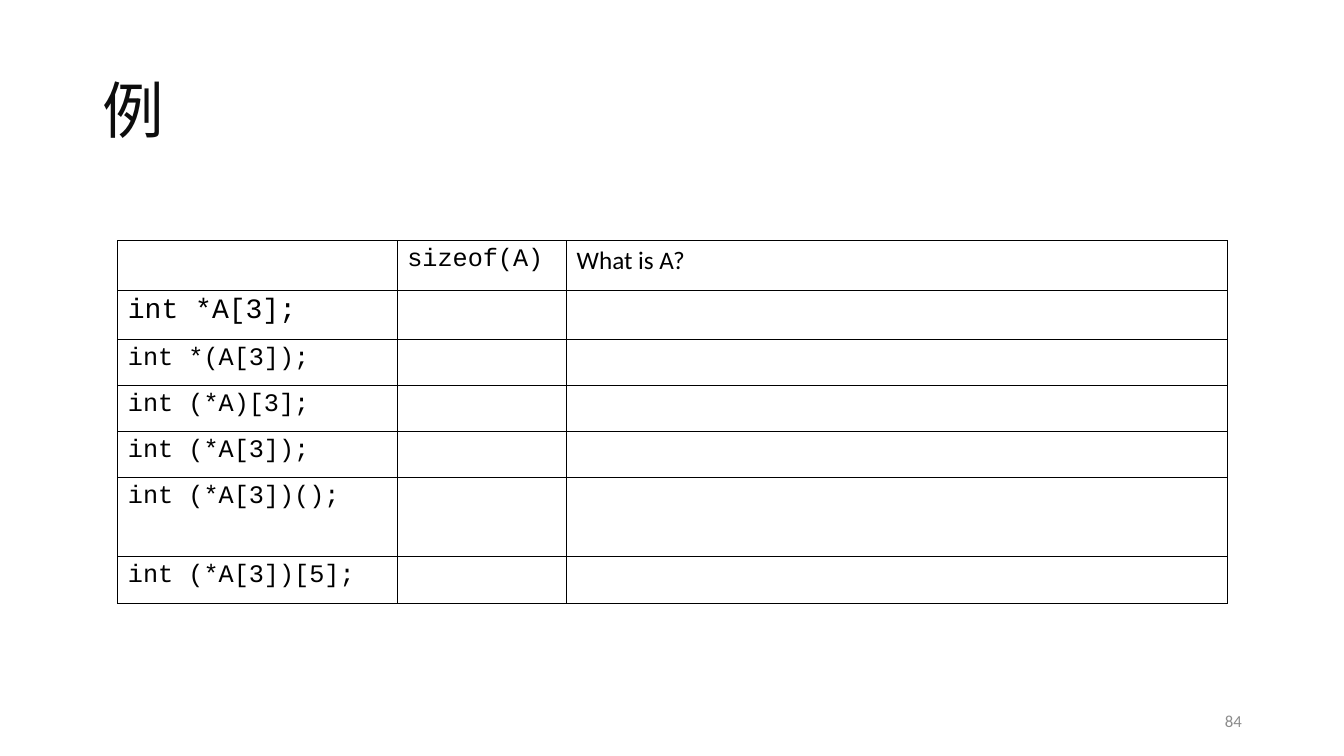
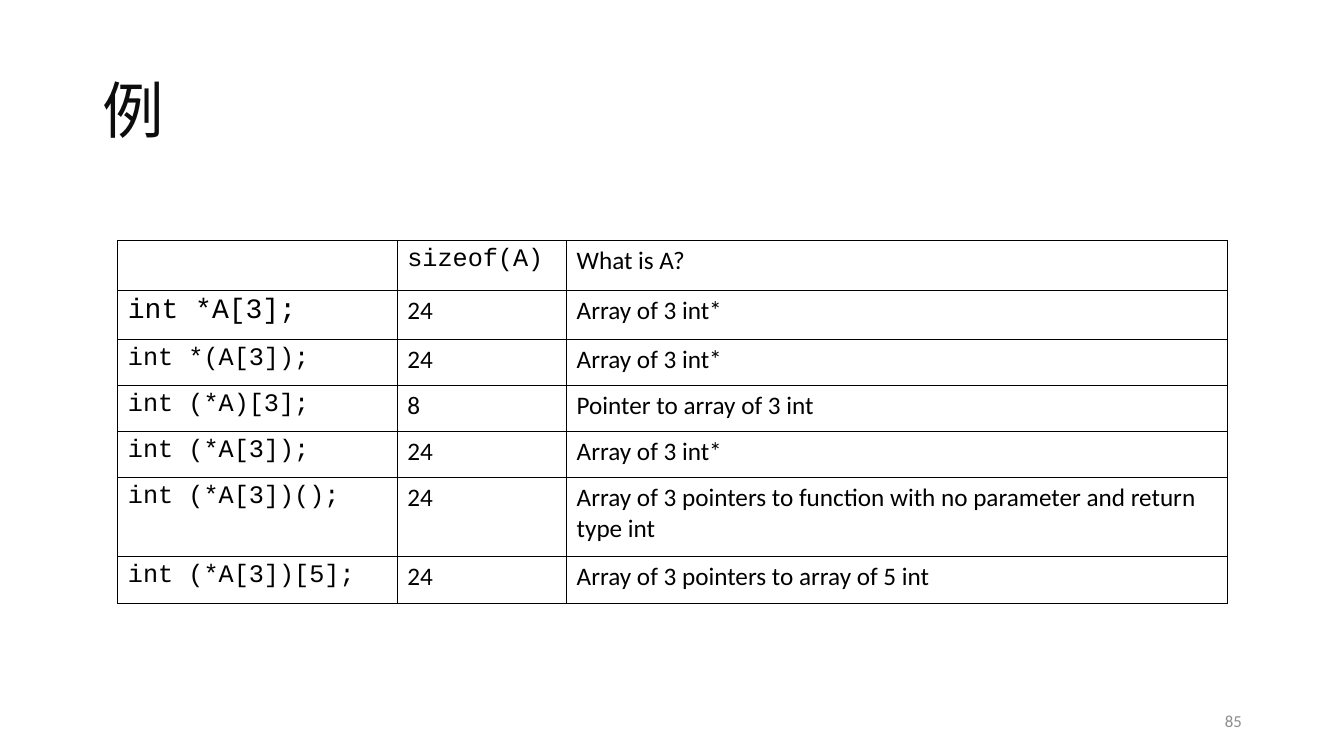
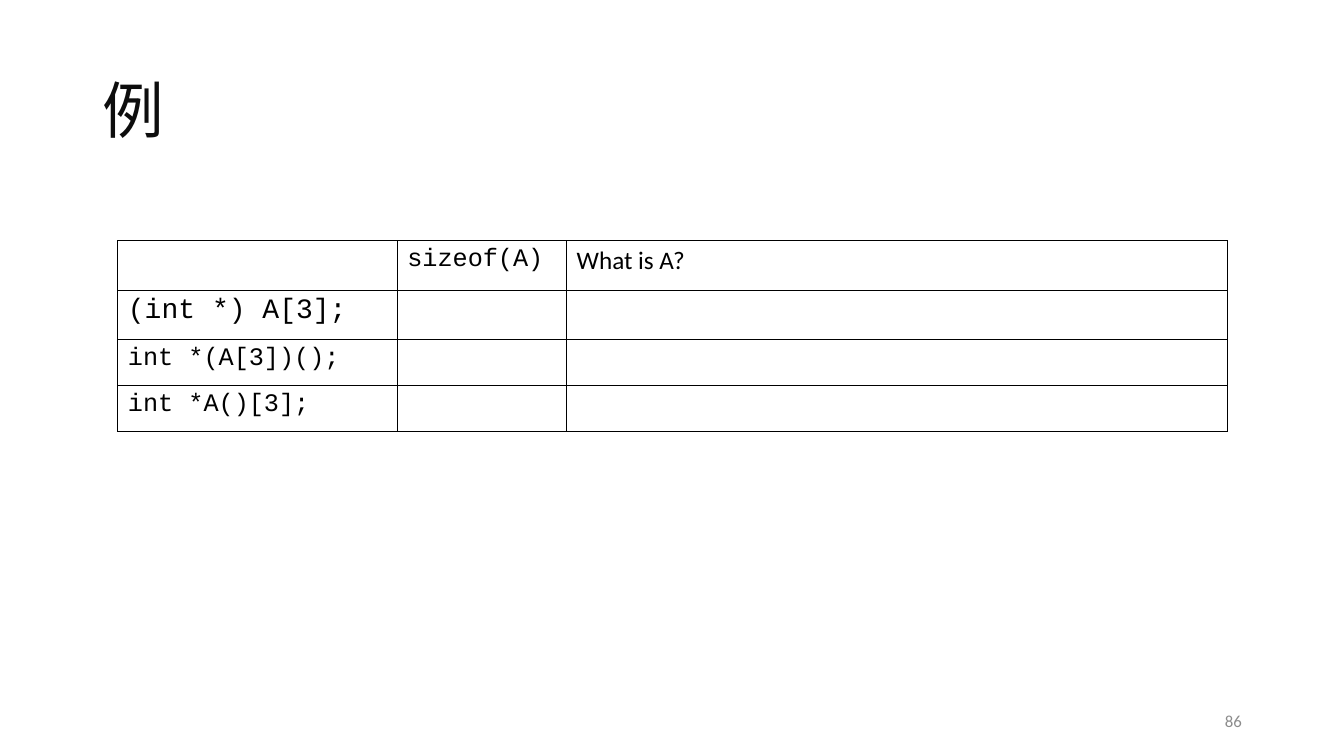
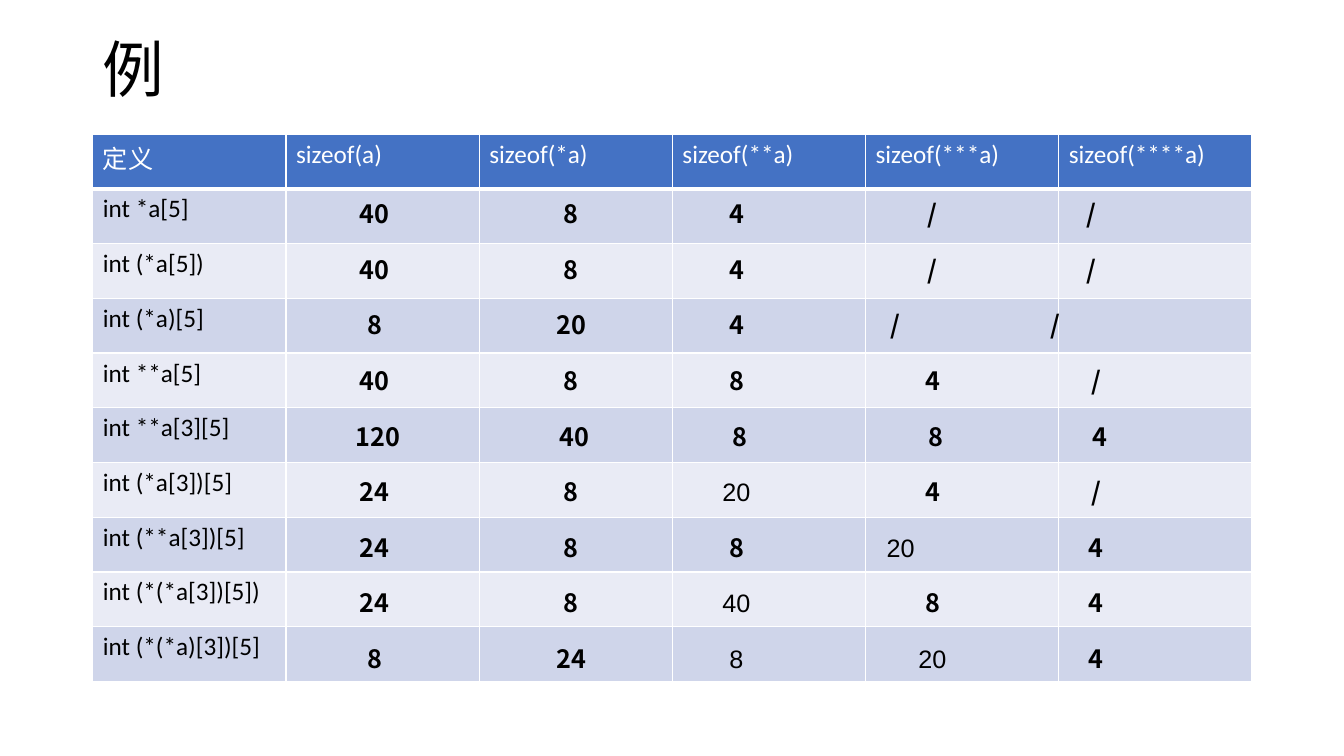
from dataclasses import dataclass
from typing import Optional

from lxml.etree import SubElement as Sub
from pptx import Presentation as Deck
from pptx.dml.color import RGBColor as Color
from pptx.enum.text import MSO_ANCHOR as Anchor, MSO_AUTO_SIZE as Fit, PP_ALIGN as Align
from pptx.oxml.ns import qn
from pptx.util import Cm, Pt

BLACK = Color(0x00, 0x00, 0x00)
INK = Color(0x0D, 0x0D, 0x0D)
GREY = Color(0x8C, 0x8C, 0x8C)
WHITE = Color(0xFF, 0xFF, 0xFF)
BLUE = Color(0x44, 0x72, 0xC4)
BANDS = Color(0xCF, 0xD5, 0xEA), Color(0xE9, 0xEB, 0xF5)

CODE, BODY, HAN, PLAIN = "Courier New", "Calibri", "Noto Sans CJK SC", "Arial"
TITLE = "例"
LEFT, WIDE = 2.34, 29.21
BASIC_COLS = 7.04, 4.27, 16.66
STOPS = 0.48, 5.44, 9.6, 14.54, 18.67


@dataclass(frozen=True)
class Style:
    name: str = BODY
    size: int = 18
    color: Color = BLACK
    bold: bool = False


@dataclass(frozen=True)
class Box:
    left: float
    top: float
    width: float
    height: float


@dataclass(frozen=True)
class Quiz:
    page: str
    rows: tuple
    heights: tuple


@dataclass(frozen=True)
class Sizes:
    code: str
    vals: str
    thin: tuple = ()
    stops: tuple = STOPS


HEAD = ("", "sizeof(A)", "What is A?")
FIRST = (
    ("int *A[3];", "24", "Array of 3 int*"),
    ("int *(A[3]);", "24", "Array of 3 int*"),
    ("int (*A)[3];", "8", "Pointer to array of 3 int"),
    ("int (*A[3]);", "24", "Array of 3 int*"),
    ("int (*A[3])();", "24",
     "Array of 3 pointers to function with no parameter and return type int"),
    ("int (*A[3])[5];", "24", "Array of 3 pointers to array of 5 int"),
)
NEXT = ("(int *) A[3];", "int *(A[3])();", "int *A()[3];")
TALL = (1.24, 1.24, 1.16, 1.16, 1.16, 2.0, 1.17)
QUIZZES = (
    Quiz("84", tuple((row[0], "", "") for row in FIRST), TALL),
    Quiz("85", FIRST, TALL),
    Quiz("86", tuple((code, "", "") for code in NEXT), TALL[:4]),
)

NEAR = STOPS[:4] + (18.55,)
SIZES = (
    Sizes("int *a[5]", "40 8 4 / /", stops=NEAR),
    Sizes("int (*a[5])", "40 8 4 / /", stops=NEAR),
    Sizes("int (*a)[5]", "8 20 4 / /", stops=STOPS[:3] + (13.61, 17.64)),
    Sizes("int **a[5]", "40 8 8 4 /"),
    Sizes("int **a[3][5]", "120 40 8 8 4", stops=tuple(stop + 0.08 for stop in STOPS)),
    Sizes("int (*a[3])[5]", "24 8 20 4 /", (2,)),
    Sizes("int (**a[3])[5]", "24 8 8 20 4", (3,), STOPS[:3] + (13.74, 18.67)),
    Sizes("int (*(*a[3])[5])", "24 8 40 8 4", (2,)),
    Sizes("int (*(*a)[3])[5]", "8 24 8 20 4", (2, 3)),
)


def set_font(font, style: Style) -> None:
    font.name = style.name
    font.size = Pt(style.size)
    font.bold = style.bold
    font.color.rgb = style.color


def add_box(slide, box: Box, anchor: Anchor = Anchor.TOP):
    shape = slide.shapes.add_textbox(
        Cm(box.left), Cm(box.top), Cm(box.width), Cm(box.height))
    frame = shape.text_frame
    frame.word_wrap = True
    frame.vertical_anchor = anchor
    return frame


def add_title(slide, top: float, style: Style) -> None:
    par = add_box(slide, Box(LEFT, top, WIDE, 3.68), Anchor.MIDDLE).paragraphs[0]
    par.text = TITLE
    par.line_spacing = 0.9
    set_font(par.font, style)


def add_page(slide, page: str) -> None:
    par = add_box(slide, Box(23.93, 17.65, 7.62, 1.02), Anchor.MIDDLE).paragraphs[0]
    par.text = page
    par.alignment = Align.RIGHT
    set_font(par.font, Style(size=12, color=GREY))


def add_grid(slide, left: float, top: float, cols: tuple, rows: tuple):
    grid = slide.shapes.add_table(
        len(rows), len(cols), Cm(left), Cm(top), Cm(sum(cols)), Cm(sum(rows))).table
    grid.first_row = grid.horz_banding = False
    for col, width in zip(grid.columns, cols):
        col.width = Cm(width)
    for row, height in zip(grid.rows, rows):
        row.height = Cm(height)
    return grid


def fill_cell(cell, text: str, style: Style, edge: Color, fill: Optional[Color] = None,
              heavy: str = "") -> None:
    props = cell._tc.get_or_add_tcPr()
    for side in "LRTB":
        line = Sub(props, qn(f"a:ln{side}"), w=str(Pt(3 if side == heavy else 1)))
        Sub(Sub(line, qn("a:solidFill")), qn("a:srgbClr"), val=str(edge))
    if fill is None:
        cell.fill.background()
    else:
        cell.fill.solid()
        cell.fill.fore_color.rgb = fill
    par = cell.text_frame.paragraphs[0]
    par.text = text
    set_font(par.font, style)


def draw_quiz(slide, quiz: Quiz) -> None:
    add_title(slide, 1.02, Style(CODE, 44, INK))
    add_page(slide, quiz.page)
    grid = add_grid(slide, 2.97, 6.07, BASIC_COLS, quiz.heights)
    for i, row in enumerate((HEAD,) + quiz.rows):
        for j, text in enumerate(row):
            code = j == 0 or (i, j) == (0, 1)
            style = Style(CODE if code else BODY, 20 if (i, j) == (1, 0) else 18)
            fill_cell(grid.cell(i, j), text, style, BLACK)


def add_vals(slide, top: float, item: Sizes) -> None:
    frame = add_box(slide, Box(8.71, top, 22.83, 1.02))
    frame.auto_size = Fit.SHAPE_TO_FIT_TEXT
    par = frame.paragraphs[0]
    tabs = Sub(par._p.get_or_add_pPr(), qn("a:tabLst"))
    for stop in item.stops:
        Sub(tabs, qn("a:tab"), pos=str(Cm(stop)), algn="ctr")
    set_font(par.font, Style(HAN, bold=True))
    for i, val in enumerate(item.vals.split()):
        run = par.add_run()
        run.text = "\t" + val
        if i in item.thin:
            set_font(run.font, Style(PLAIN))


def draw_sizes(slide) -> None:
    add_title(slide, 0, Style(size=44))
    count = len(STOPS) + 1
    grid = add_grid(slide, LEFT, 3.38, (WIDE / count,) * count, (1.38,) * (len(SIZES) + 1))
    heads = ["定义"] + [f"sizeof({'*' * i}a)" for i in range(len(STOPS))]
    for j, head in enumerate(heads):
        fill_cell(grid.cell(0, j), head, Style(color=WHITE), WHITE, BLUE, "B")
    for i, item in enumerate(SIZES):
        for j in range(count):
            fill_cell(grid.cell(i + 1, j), "" if j else item.code, Style(), WHITE,
                      BANDS[i % 2], "" if i else "T")
    for i, item in enumerate(SIZES):
        add_vals(slide, 4.88 + 1.4 * i, item)


def main() -> None:
    deck = Deck()
    deck.slide_width, deck.slide_height = Cm(33.87), Cm(19.05)
    blank = deck.slide_layouts[6]
    for quiz in QUIZZES:
        draw_quiz(deck.slides.add_slide(blank), quiz)
    draw_sizes(deck.slides.add_slide(blank))
    deck.save("out.pptx")


if __name__ == "__main__":
    main()
